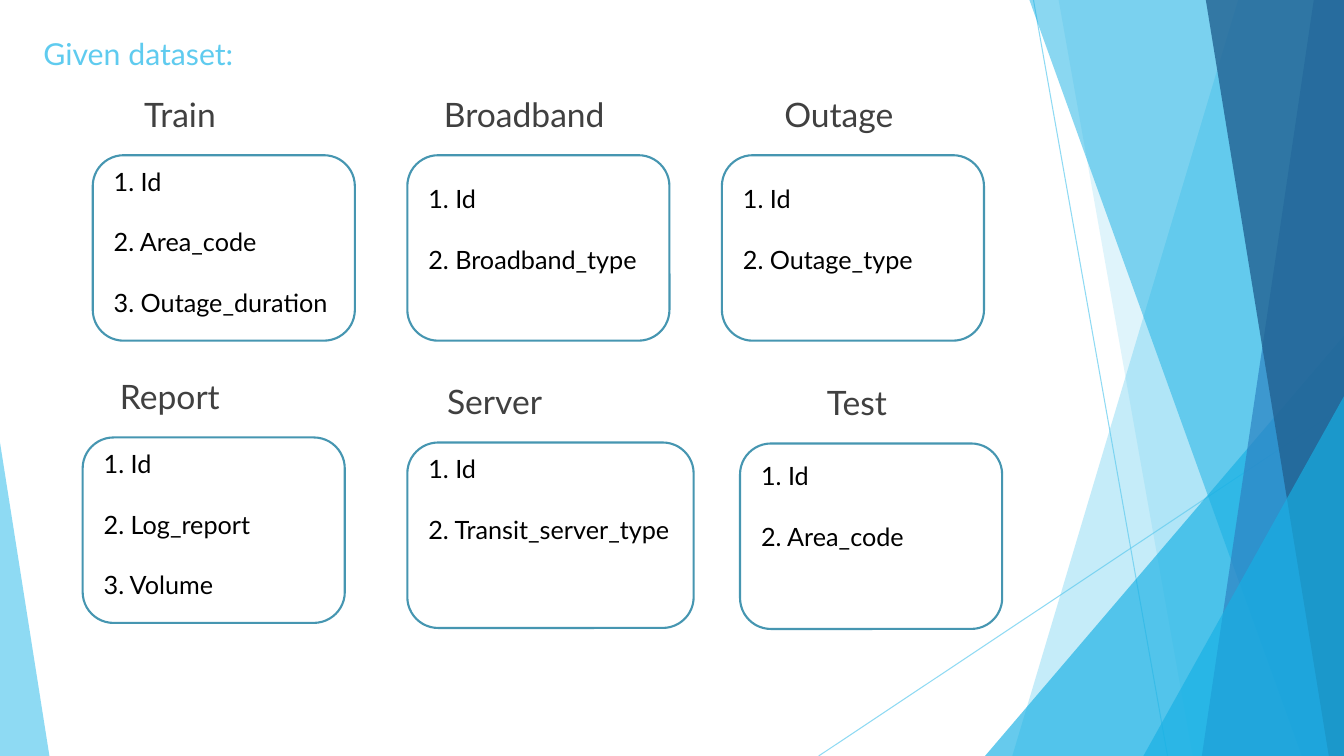
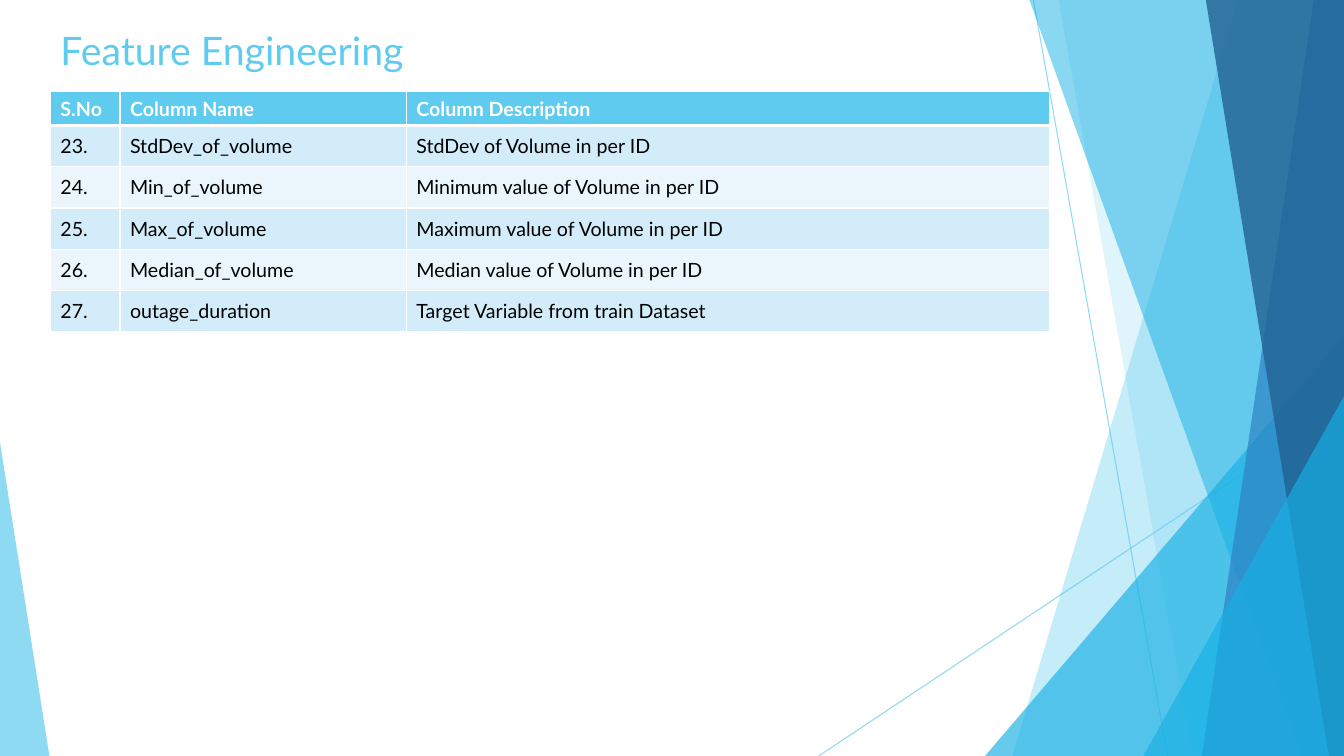
from lxml.etree import SubElement
from pptx import Presentation
from pptx.dml.color import RGBColor
from pptx.enum.shapes import MSO_CONNECTOR, MSO_SHAPE
from pptx.enum.text import MSO_ANCHOR, PP_ALIGN
from pptx.oxml.ns import qn
from pptx.util import Inches, Pt

FONT = "Lato"
WIDE, HIGH = 13.33, 7.5
HUES = {
    "sky": "5FCBEF",
    "cyan": "17B0E4",
    "blue": "2E83C3",
    "navy": "226292",
    "teal": "4696B1",
    "grey": "404040",
    "black": "000000",
    "white": "FFFFFF",
    "band": "D2ECF9",
    "pale": "EAF6FC",
}
RAYS = [(10.25, 0, 11.58, HIGH), (WIDE, 4.03, 8.12, HIGH)]
SHARDS = [
    ("pane", 12.28, 10.04, "sky", 36),
    ("pane", 10.5, 11.83, "sky", 20),
    ("peak", (9.77, 3.33, 3.56, 4.17), 1, "cyan", 66),
    ("pane", 10.21, 12.91, "cyan", 50),
    ("pane", 13.03, 11.92, "blue", 70),
    ("pane", 11.96, 13.18, "navy", 80),
    ("peak", (11.34, 3.93, 1.99, 3.57), 1, "cyan", 66),
    ("peak", (0, 4.39, 0.49, 3.11), 0, "sky", 70),
]
CARDS = [
    ("Train", ["1. Id", "2. Area_code", "3. Outage_duration"], (0.92, 1.54, 2.6), 1.37, 0.06),
    ("Broadband", ["1. Id", "2. Broadband_type"], (4.04, 1.54, 2.6), 1.96, 0.23),
    ("Outage", ["1. Id", "2. Outage_type"], (7.16, 1.54, 2.6), 1.96, 0.23),
    ("Report", ["1. Id", "2. Log_report", "3. Volume"], (0.82, 4.34, 2.6), 1.37, 0.06),
    ("Server", ["1. Id", "2. Transit_server_type"], (4.04, 4.39, 2.84), 1.37, 0.06),
    ("Test", ["1. Id", "2. Area_code"], (7.34, 4.4, 2.6), 1.96, 0.12),
]
ROWS = [
    ("S.No", "Column Name", "Column Description"),
    ("23.", "StdDev_of_volume", "StdDev of Volume in per ID"),
    ("24.", "Min_of_volume", "Minimum value of Volume in per ID"),
    ("25.", "Max_of_volume", "Maximum value of Volume in per ID"),
    ("26.", "Median_of_volume", "Median value of Volume in per ID"),
    ("27.", "outage_duration", "Target Variable from train Dataset"),
]


def hue(name):
    return RGBColor.from_string(HUES[name])


def span(*sizes):
    return [Inches(size) for size in sizes]


def write(frame, lines, size=18, tint="black", bold=False, align=PP_ALIGN.LEFT, gap=0):
    frame.word_wrap = True
    for i, line in enumerate(lines):
        para = frame.paragraphs[0] if i == 0 else frame.add_paragraph()
        para.alignment = align
        if i and gap:
            para.space_before = Pt(gap)
        run = para.add_run()
        run.text = line
        font = run.font
        font.name, font.size, font.bold = FONT, Pt(size), bold
        font.color.rgb = hue(tint)


def label(slide, box, lines, **form):
    write(slide.shapes.add_textbox(*span(*box)).text_frame, lines, **form)


def fade(shape, level):
    for node in list(shape.element.iter(qn("a:srgbClr"))):
        SubElement(node, qn("a:alpha")).set("val", str(level * 1000))


def ray(slide, ends):
    line = slide.shapes.add_connector(MSO_CONNECTOR.STRAIGHT, *span(*ends))
    line.line.color.rgb = hue("sky")
    line.line.width = Pt(0.75)
    fade(line, 70)
    SubElement(line.element.spPr, qn("a:effectLst"))
    return line


def pane(slide, top, foot):
    pen = slide.shapes.build_freeform(Inches(top), 0)
    spots = [(WIDE, 0), (WIDE, HIGH), (foot, HIGH)]
    pen.add_line_segments([span(*spot) for spot in spots], close=True)
    return pen.convert_to_shape()


def peak(slide, box, tip):
    shape = slide.shapes.add_shape(MSO_SHAPE.ISOSCELES_TRIANGLE, *span(*box))
    shape.adjustments[0] = tip
    return shape


def shard(slide, kind, place, lean, tint, level):
    shape = {"pane": pane, "peak": peak}[kind](slide, place, lean)
    shape.shadow.inherit = False
    shape.fill.solid()
    shape.fill.fore_color.rgb = hue(tint)
    shape.line.fill.background()
    fade(shape, level)
    return shape


def dress(slide):
    parts = [ray(slide, ends) for ends in RAYS]
    parts += [shard(slide, *item) for item in SHARDS]
    tree = slide.slide_layout.element.cSld.spTree
    for part in parts:
        tree.append(part.element)


def head(slide, text, box, size):
    title = slide.shapes.title
    title.left, title.top, title.width, title.height = span(*box)
    title.text_frame.vertical_anchor = MSO_ANCHOR.TOP
    write(title.text_frame, [text], size=size, tint="sky")


def card(slide, name, lines, spot, width, drop):
    left, top, wide = spot
    label(slide, (left + 0.18, top - 0.66, width, 0.5), [name],
          size=24, tint="grey", align=PP_ALIGN.CENTER)
    tall = 0.4 + 0.61 * (len(lines) - 1)
    label(slide, (left + 0.11, top + drop, max(2.39, wide), tall), lines, gap=21.6)
    frame = slide.shapes.add_shape(MSO_SHAPE.ROUNDED_RECTANGLE, *span(left, top, wide, 1.84))
    frame.shadow.inherit = False
    frame.fill.background()
    frame.line.color.rgb = hue("teal")
    frame.line.width = Pt(1.5)


def edge(cell, top, foot):
    props = cell._tc.get_or_add_tcPr()
    for side, width in (("L", 1), ("R", 1), ("T", top), ("B", foot)):
        line = SubElement(props, qn("a:ln" + side))
        line.set("w", str(Pt(width)))
        fill = SubElement(line, qn("a:solidFill"))
        SubElement(fill, qn("a:srgbClr")).set("val", HUES["white"])


def grid(slide, left, top, cols):
    tall = [0.31] + [0.41] * (len(ROWS) - 1)
    box = span(left, top, sum(cols), sum(tall))
    table = slide.shapes.add_table(len(ROWS), len(cols), *box).table
    for col, wide in zip(table.columns, cols):
        col.width = Inches(wide)
    for i, row in enumerate(ROWS):
        first = i == 0
        table.rows[i].height = Inches(tall[i])
        for j, text in enumerate(row):
            cell = table.cell(i, j)
            edge(cell, 3 if i == 1 else 1, 3 if first else 1)
            cell.fill.solid()
            cell.fill.fore_color.rgb = hue("sky" if first else "band" if i % 2 else "pale")
            cell.vertical_anchor = MSO_ANCHOR.TOP if first else MSO_ANCHOR.MIDDLE
            write(cell.text_frame, [text], size=14, bold=first,
                  tint="white" if first else "black")


def main():
    deck = Presentation()
    deck.slide_width, deck.slide_height = span(WIDE, HIGH)
    plain = deck.slide_layouts[5]

    data = deck.slides.add_slide(plain)
    dress(data)
    head(data, "Given dataset:", (0.33, 0.3, 3.34, 0.48), 21.6)
    for item in CARDS:
        card(data, *item)

    terms = deck.slides.add_slide(plain)
    head(terms, "Feature Engineering", (0.5, 0.21, 3.91, 0.7), 28)
    grid(terms, 0.5, 0.91, (0.69, 2.84, 6.38))

    deck.save("out.pptx")


if __name__ == "__main__":
    main()
